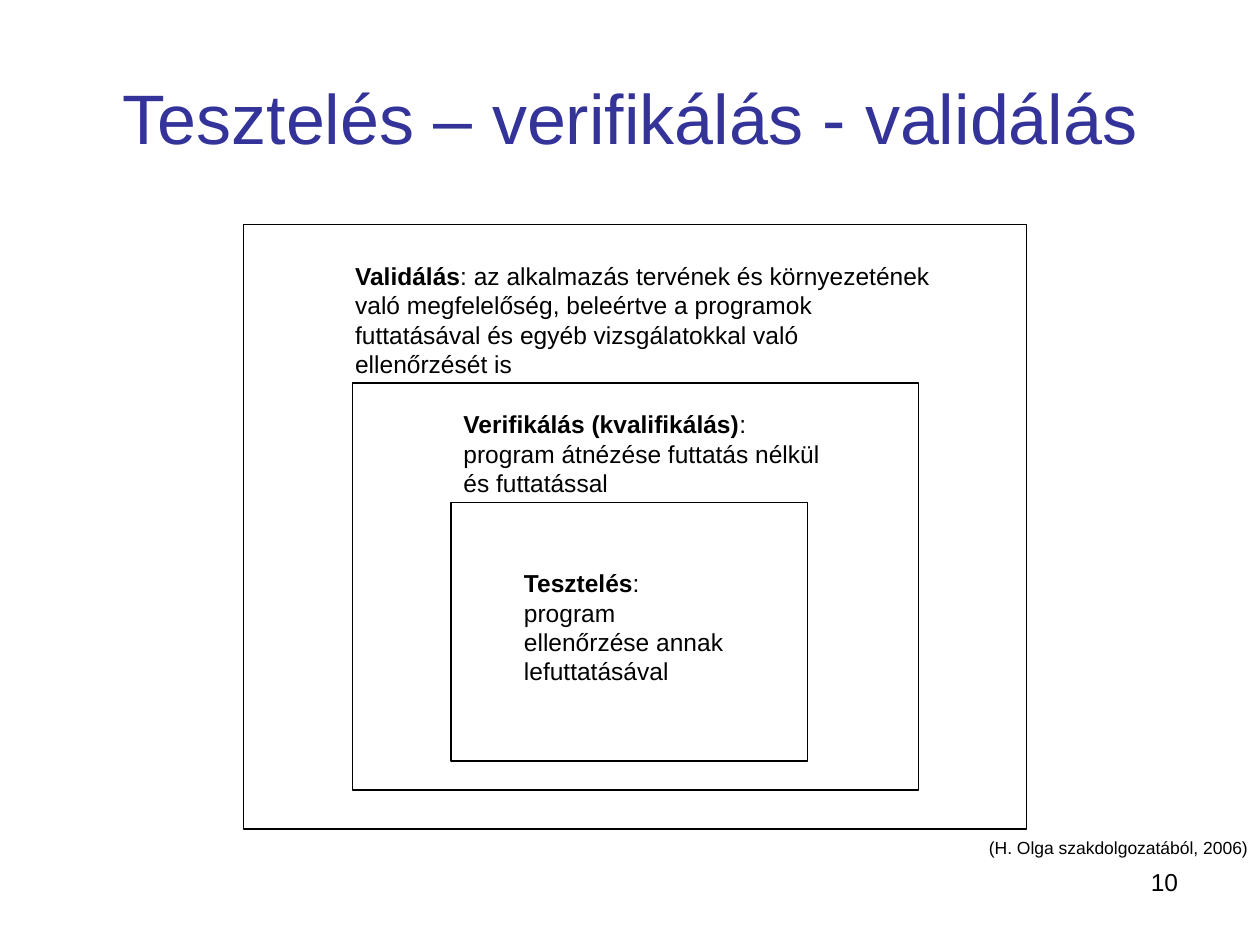
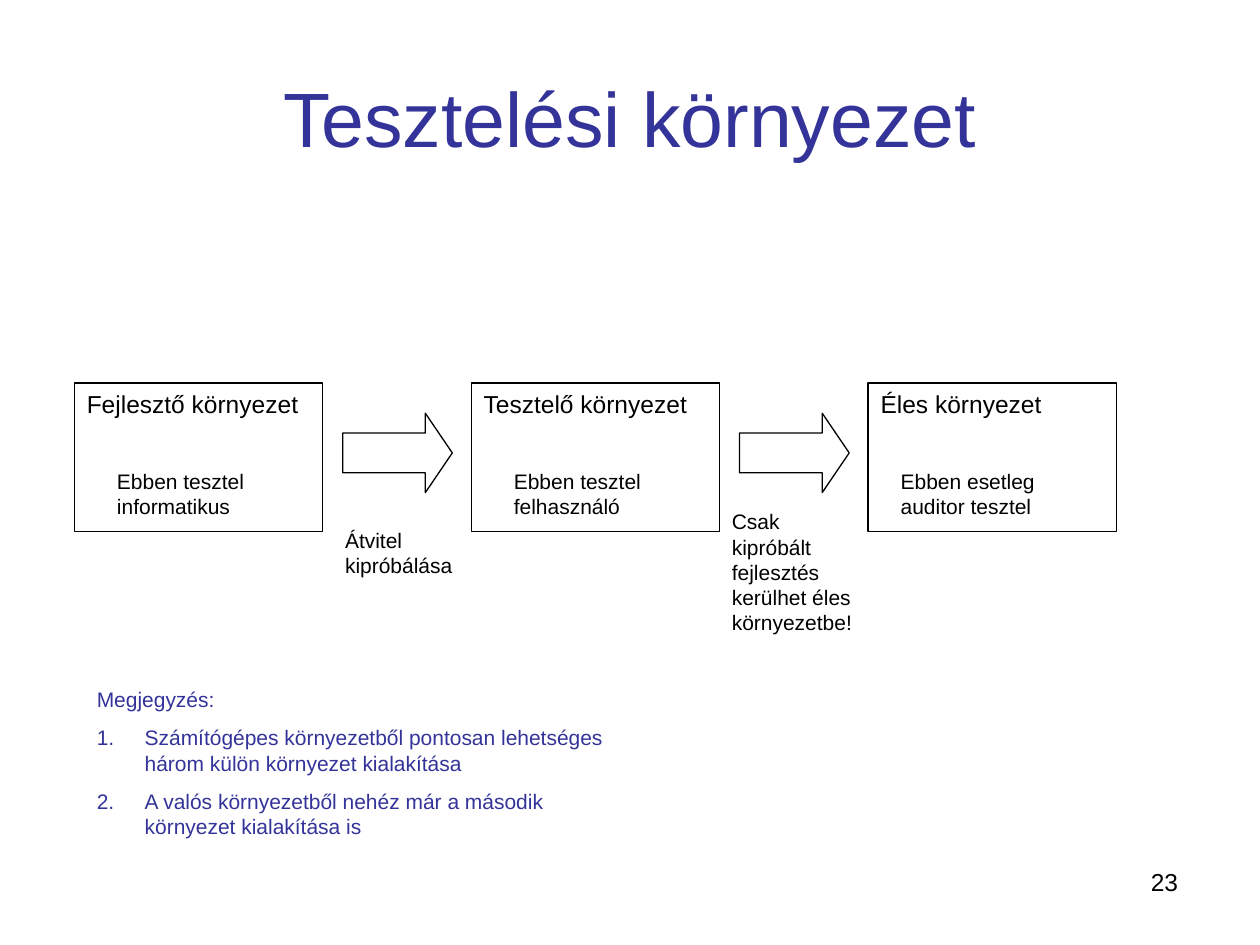
from lxml import etree
from pptx import Presentation
from pptx.dml.color import RGBColor
from pptx.enum.shapes import MSO_SHAPE
from pptx.enum.text import MSO_ANCHOR, PP_ALIGN
from pptx.oxml.ns import qn
from pptx.util import Inches, Pt

RECTANGLE, RIGHT_ARROW = MSO_SHAPE.RECTANGLE, MSO_SHAPE.RIGHT_ARROW
LEFT, CENTER, RIGHT = PP_ALIGN.LEFT, PP_ALIGN.CENTER, PP_ALIGN.RIGHT
TOP, MIDDLE = MSO_ANCHOR.TOP, MSO_ANCHOR.MIDDLE

# Shared style
FONT = "Arial"
BLACK, INDIGO = "000000", "333399"
LABEL_SIZE, NOTE_SIZE, SOURCE_SIZE = 14, 12, 10

# Content of the nested levels: frame box, text box, term, definition
LEVELS = [
    ((3.58, 3.99, 2.83, 2.05), (4.06, 4.46, 1.81, 1.04),
     "Tesztelés", ": program ellenőrzése annak lefuttatásával"),
    ((2.8, 3.04, 4.49, 3.23), (3.58, 3.2, 3.07, 0.8),
     "Verifikálás (kvalifikálás)",
     ": program átnézése futtatás nélkül és futtatással"),
    ((1.93, 1.78, 6.22, 4.8), (2.72, 2.02, 4.8, 1.04),
     "Validálás",
     ": az alkalmazás tervének és környezetének való megfelelőség, beleértve "
     "a programok futtatásával és egyéb vizsgálatokkal való ellenőrzését is"),
]
SOURCE = "(H. Olga szakdolgozatából, 2006)"

# Content of the environments: name, tester, indent of the tester text
ENVIRONMENTS = [
    ("Fejlesztő környezet", "Ebben tesztel informatikus", 0.24),
    ("Tesztelő környezet", "Ebben tesztel felhasználó", 0.24),
    ("Éles környezet", "Ebben esetleg auditor tesztel", 0.16),
]
# Caption under each arrow: text, offset from its environment, top, height
TRANSFERS = [
    ("Átvitel kipróbálása", 2.05, 4.14, 0.5),
    ("Csak kipróbált fejlesztés kerülhet éles környezetbe!", 1.97, 3.99, 1.1),
]
REMARK_HEADING = "Megjegyzés:"
REMARKS = [
    "Számítógépes környezetből pontosan lehetséges három külön környezet "
    "kialakítása",
    "A valós környezetből nehéz már a második környezet kialakítása is",
]

# Environment row geometry
ROW_LEFT, ROW_TOP, ROW_STEP = 0.59, 3.04, 3.15
ENVIRONMENT_WIDTH, ENVIRONMENT_HEIGHT = 1.97, 1.18
ARROW_OFFSET = 2.13


def color(value):
    return RGBColor.from_string(value)


def add_run(paragraph, text, size=LABEL_SIZE, ink=BLACK, bold=False):
    run = paragraph.add_run()
    run.text = text
    run.font.name = FONT
    run.font.size = Pt(size)
    run.font.bold = bold
    run.font.color.rgb = color(ink)


def add_text(slide, box, text="", bold_lead="", align=LEFT, anchor=TOP,
             wrap=True, right_inset=0.1, **run_format):
    shape = slide.shapes.add_textbox(*map(Inches, box))
    frame = shape.text_frame
    frame.word_wrap = wrap
    frame.vertical_anchor = anchor
    frame.margin_right = Inches(right_inset)
    paragraph = frame.paragraphs[0]
    paragraph.alignment = align
    if bold_lead:
        add_run(paragraph, bold_lead, bold=True, **run_format)
    add_run(paragraph, text, **run_format)
    return frame


def add_outline(slide, kind, box):
    shape = slide.shapes.add_shape(kind, *map(Inches, box))
    shape.shadow.inherit = False
    shape.fill.background()
    shape.line.color.rgb = color(BLACK)
    shape.line.width = Pt(0.75)
    return shape


def hang(paragraph, numbered):
    properties = paragraph._p.get_or_add_pPr()
    properties.set("marL", str(Inches(0.38)))
    properties.set("indent", str(-Inches(0.38)))
    if numbered:
        etree.SubElement(properties, qn("a:buAutoNum"), type="arabicPeriod")


def add_slide(presentation, title, title_size, number):
    slide = presentation.slides.add_slide(presentation.slide_layouts[6])
    add_text(slide, (7.17, 6.83, 2.33, 0.52), number, align=RIGHT,
             right_inset=0.15)
    add_text(slide, (0.5, 0.3, 9, 1.25), title, align=CENTER, anchor=MIDDLE,
             size=title_size, ink=INDIGO)
    return slide


def build_levels(presentation):
    slide = add_slide(presentation, "Tesztelés – verifikálás - validálás",
                      40, "10")
    for frame_box, text_box, term, definition in LEVELS:
        add_outline(slide, RECTANGLE, frame_box)
        add_text(slide, text_box, definition, bold_lead=term)
    add_text(slide, (7.75, 6.59, 2.25, 0.27), SOURCE, wrap=False,
             size=SOURCE_SIZE)


def build_environments(presentation):
    slide = add_slide(presentation, "Tesztelési környezet", 44, "23")

    # Environment boxes
    for index, (name, tester, indent) in enumerate(ENVIRONMENTS):
        left = ROW_LEFT + index * ROW_STEP
        box = (left, ROW_TOP, ENVIRONMENT_WIDTH, ENVIRONMENT_HEIGHT)
        add_outline(slide, RECTANGLE, box)
        add_text(slide, (left, ROW_TOP, 1.88, 0.34), name, wrap=False)
        add_text(slide, (left + indent, 3.67, 1.32, 0.5), tester,
                 size=NOTE_SIZE)

    # Arrows and their captions
    for index, (caption, offset, top, height) in enumerate(TRANSFERS):
        left = ROW_LEFT + index * ROW_STEP
        arrow = add_outline(slide, RIGHT_ARROW,
                            (left + ARROW_OFFSET, 3.28, 0.87, 0.63))
        arrow.adjustments[1] = 0.34
        add_text(slide, (left + offset, top, 1.18, height), caption,
                 size=NOTE_SIZE)

    # Numbered remarks
    frame = add_text(slide, (0.67, 5.4, 4.33, 1.31), REMARK_HEADING,
                     size=NOTE_SIZE, ink=INDIGO)
    hang(frame.paragraphs[0], numbered=False)
    for remark in REMARKS:
        paragraph = frame.add_paragraph()
        hang(paragraph, numbered=True)
        paragraph.space_before = Pt(7.5)
        add_run(paragraph, remark, size=NOTE_SIZE, ink=INDIGO)


def main():
    presentation = Presentation()
    presentation.slide_width = Inches(10)
    presentation.slide_height = Inches(7.5)
    build_levels(presentation)
    build_environments(presentation)
    presentation.save("out.pptx")


if __name__ == "__main__":
    main()
